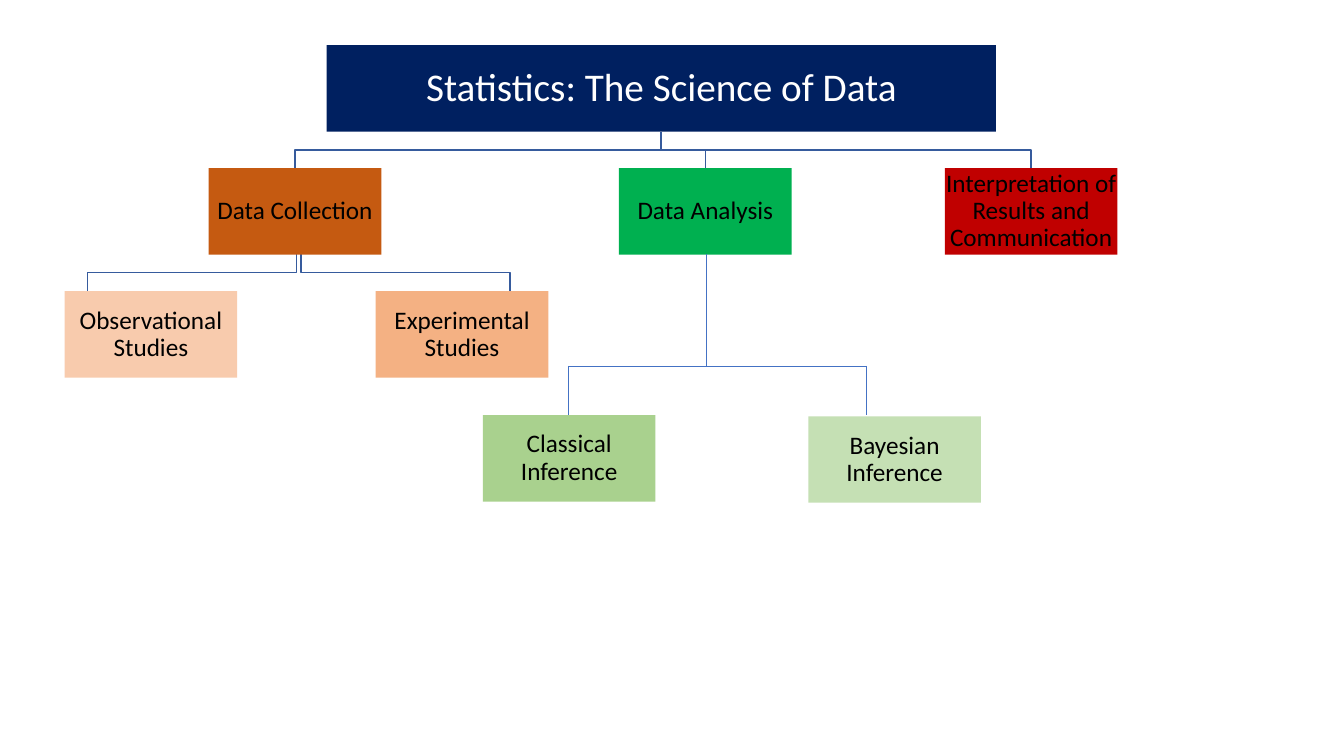
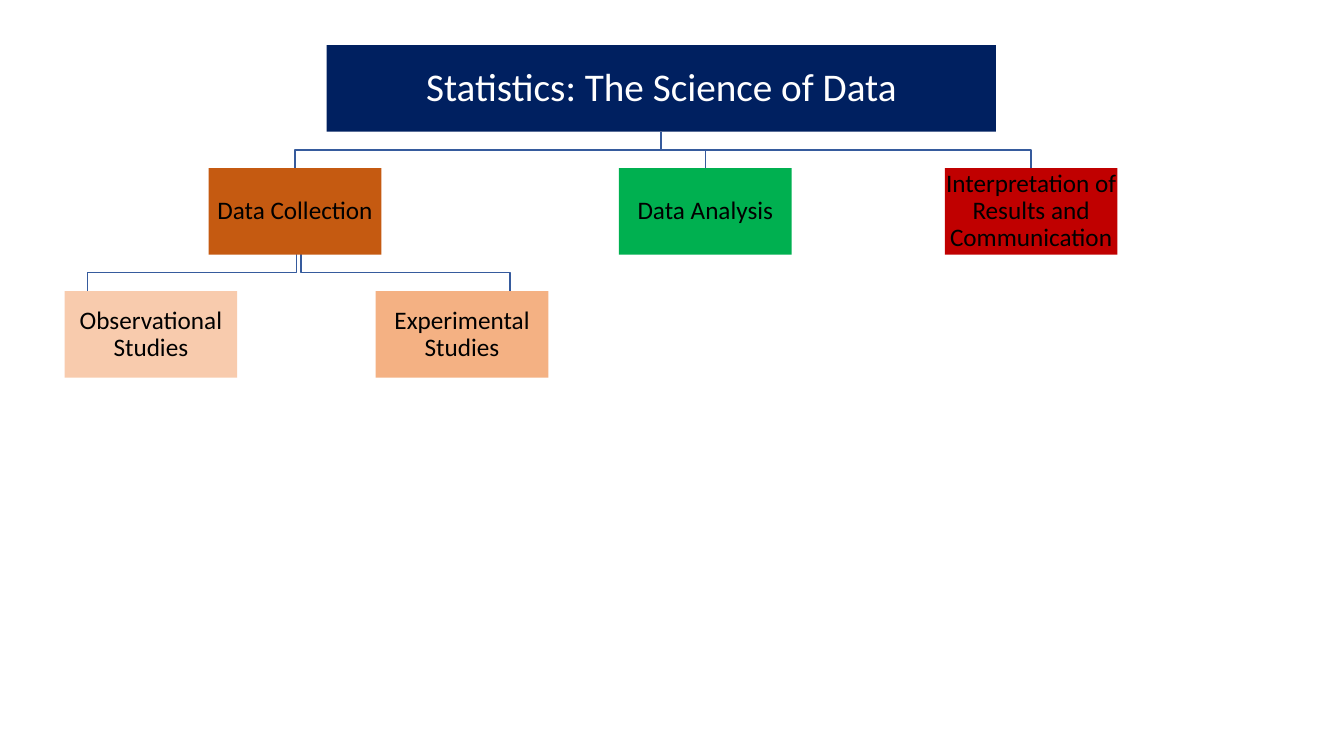
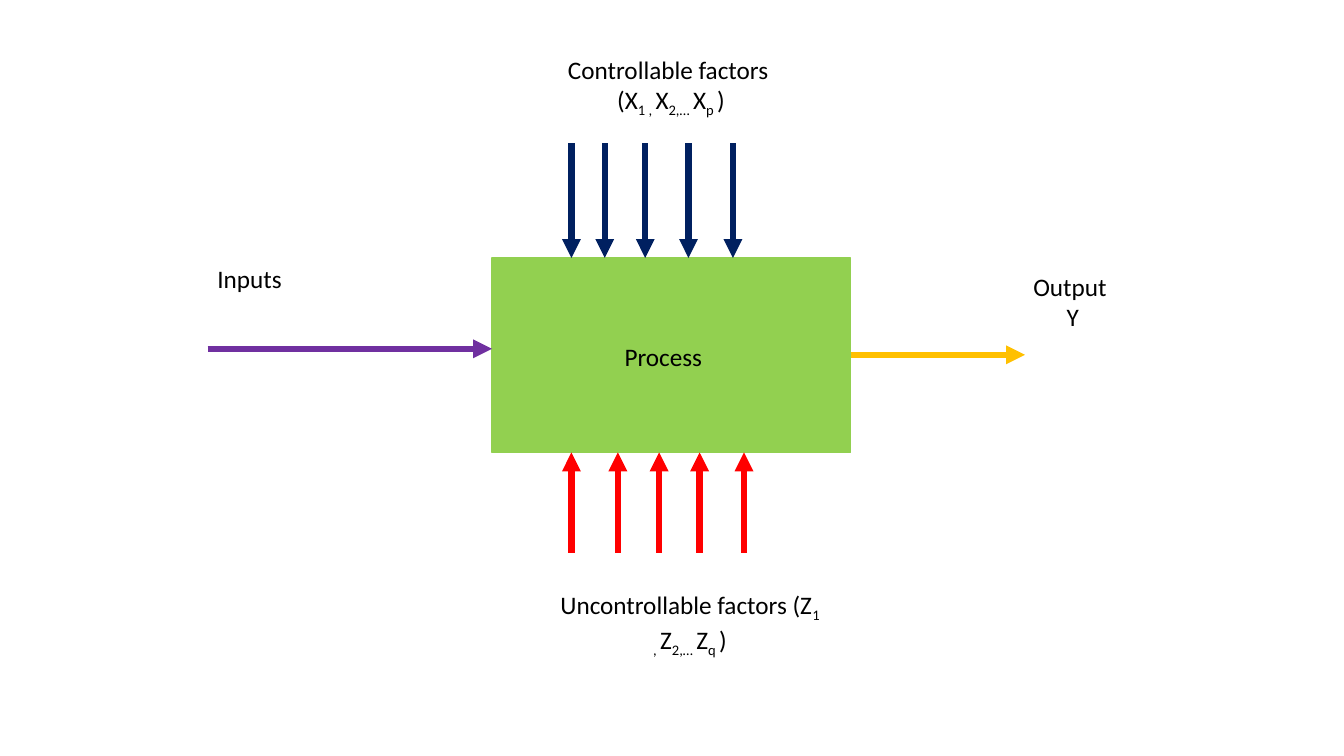
import pptx
import pptx.util
import pptx.dml.color
import pptx.enum.shapes
import pptx.enum.text
import pptx.oxml
import pptx.oxml.ns

Cm, Pt = pptx.util.Cm, pptx.util.Pt
ALIGN = pptx.enum.text.PP_ALIGN
ANCHOR = pptx.enum.text.MSO_ANCHOR

# Shared look
COLOURS = {
    "navy": "002060", "white": "FFFFFF", "black": "000000",
    "collection": "C55A11", "observational": "F8CBAD", "experimental": "F4B183",
    "analysis": "00B050", "classical": "A9D18E", "bayesian": "C5E0B4",
    "interpretation": "C00000", "elbow": "365B9D", "branch": "4472C4",
    "process": "92D050", "input": "7030A0", "output": "FFC000", "noise": "FF0000",
}
BODY_FONT = {"name": "Calibri", "size": Pt(18), "bold": False}
TITLE_FONT = {**BODY_FONT, "size": Pt(28)}
BOX_FRAME = {
    "word_wrap": True, "auto_size": pptx.enum.text.MSO_AUTO_SIZE.NONE,
    "vertical_anchor": ANCHOR.MIDDLE, "margin_left": Cm(0.03),
    "margin_right": Cm(0.03), "margin_top": Cm(0.03), "margin_bottom": Cm(0.03),
}
BOX_PARAGRAPH = {"alignment": ALIGN.CENTER, "line_spacing": 0.9}
BOX_WIDTH, BOX_HEIGHT = 4.35, 2.18

# Tree layout in centimetres
TITLE_AREA = (8.23, 1.14, 16.87, BOX_HEIGHT)
TITLE_CENTRE = 16.66
TITLE_BOTTOM = 3.32
BRANCH_TOP, BRANCH_BOTTOM = 4.24, 6.41
STUDY_TOP = 7.34
BRANCHES = [
    ("Data Collection", 5.26, "collection"),
    ("Data Analysis", 15.6, "analysis"),
    ("Interpretation of Results and Communication", 23.81, "interpretation"),
]
STUDIES = [
    ("Observational Studies", 1.63, "observational"),
    ("Experimental Studies", 9.47, "experimental"),
]
STUDY_ELBOWS = [(7.47, 2.21), (7.59, 12.85)]
INFERENCES = [
    ("Classical Inference", 12.17, 10.46, "classical"),
    ("Bayesian Inference", 20.37, 10.49, "bayesian"),
]


def colour(name):
    return pptx.dml.color.RGBColor.from_string(COLOURS[name])


def apply_format(target, values):
    for attribute, value in values.items():
        setattr(target, attribute, value)


def paint(shape, fill):
    shape.fill.solid()
    shape.fill.fore_color.rgb = colour(fill)
    shape.line.fill.background()


def add_run(paragraph, text, font, font_colour="black", subscript=False):
    run = paragraph.add_run()
    run.text = text
    apply_format(run.font, font)
    run.font.color.rgb = colour(font_colour)
    if subscript:
        run._r.get_or_add_rPr().set("baseline", "-25000")


def fill_box(shape, text, fill, font=BODY_FONT, font_colour="black"):
    paint(shape, fill)
    apply_format(shape.text_frame, BOX_FRAME)
    paragraph = shape.text_frame.paragraphs[0]
    apply_format(paragraph, BOX_PARAGRAPH)
    add_run(paragraph, text, font, font_colour)


def add_rectangle(slide, left, top, width, height):
    shape = slide.shapes.add_shape(
        pptx.enum.shapes.MSO_SHAPE.RECTANGLE, Cm(left), Cm(top), Cm(width), Cm(height))
    shape.shadow.inherit = False
    return shape


def add_box(slide, text, left, top, fill):
    fill_box(add_rectangle(slide, left, top, BOX_WIDTH, BOX_HEIGHT), text, fill)


def add_title(slide, text):
    title = slide.shapes.title
    sides = ("left", "top", "width", "height")
    apply_format(title, dict(zip(sides, map(Cm, TITLE_AREA))))
    fill_box(title, text, "navy", TITLE_FONT, "white")


def add_elbow(slide, start_x, start_y, end_x, end_y):
    middle = Cm((start_y + end_y) / 2)
    builder = slide.shapes.build_freeform(Cm(start_x), Cm(start_y))
    builder.add_line_segments(
        [(Cm(start_x), middle), (Cm(end_x), middle), (Cm(end_x), Cm(end_y))], close=False)
    shape = builder.convert_to_shape()
    shape.shadow.inherit = False
    shape.fill.background()
    shape.line.color.rgb = colour("elbow")
    shape.line.width = Pt(1)


def add_line(slide, start, end, line_colour, width, arrow=False):
    connector = slide.shapes.add_connector(
        pptx.enum.shapes.MSO_CONNECTOR.STRAIGHT, *map(Cm, start + end))
    connector.line.color.rgb = colour(line_colour)
    connector.line.width = Pt(width)
    if arrow:
        head = pptx.oxml.parse_xml(
            f'<a:tailEnd {pptx.oxml.ns.nsdecls("a")} type="triangle"/>')
        connector.line._get_or_add_ln().append(head)
    effects = pptx.oxml.parse_xml(f'<a:effectLst {pptx.oxml.ns.nsdecls("a")}/>')
    connector._element.spPr.append(effects)


def add_label(slide, area, lines, alignment=ALIGN.CENTER):
    """Each line is a list of parts, alternating normal and subscript text."""
    frame = slide.shapes.add_textbox(*map(Cm, area)).text_frame
    frame.word_wrap = True
    for index, parts in enumerate(lines):
        paragraph = frame.add_paragraph() if index else frame.paragraphs[0]
        paragraph.alignment = alignment
        for position, text in enumerate(parts):
            add_run(paragraph, text, BODY_FONT, subscript=position % 2 == 1)


def add_tree_slide(presentation):
    slide = presentation.slides.add_slide(presentation.slide_layouts[5])
    # Links between levels
    for _, left, _ in reversed(BRANCHES):
        add_elbow(slide, TITLE_CENTRE, TITLE_BOTTOM, left + BOX_WIDTH / 2, BRANCH_TOP)
    for start_x, end_x in STUDY_ELBOWS:
        add_elbow(slide, start_x, BRANCH_BOTTOM, end_x, STUDY_TOP)
    # Boxes
    add_title(slide, "Statistics: The Science of Data")
    for text, left, fill in BRANCHES:
        add_box(slide, text, left, BRANCH_TOP, fill)
    for text, left, fill in STUDIES:
        add_box(slide, text, left, STUDY_TOP, fill)
    return slide


def add_inference_branch(slide):
    stem, left, right = 17.81, 14.33, 21.84
    fork, bottom = 9.22, 10.46
    for text, box_left, top, fill in INFERENCES:
        add_box(slide, text, box_left, top, fill)
    for start, end in [
        ((stem, BRANCH_BOTTOM), (stem, fork)),
        ((left, fork), (right, fork)),
        ((left, fork), (left, bottom)),
        ((right, fork), (right, bottom)),
    ]:
        add_line(slide, start, end, "branch", 0.5)


def add_process_slide(presentation):
    slide = presentation.slides.add_slide(presentation.slide_layouts[6])
    left, top, width, height = 12.4, 6.5, 9.04, 4.9
    process = add_rectangle(slide, left, top, width, height)
    paint(process, "process")
    process.line.color.rgb = colour("process")
    process.line.width = Pt(1)

    # Arrows into and out of the process
    arrows = [((5.23, 8.79), (left, 8.79), "input")]
    arrows += [((x, 3.61), (x, top), "navy") for x in (14.4, 15.24, 16.26, 17.35, 18.47)]
    arrows += [((x, 13.93), (x, top + height), "noise")
               for x in (14.4, 15.57, 16.61, 17.63, 18.75)]
    arrows.append(((left + width, 8.94), (25.83, 8.94), "output"))
    for start, end, line_colour in arrows:
        add_line(slide, start, end, line_colour, 4.5, arrow=True)

    # Labels
    add_label(slide, (5.23, 6.5, 4.09, 1.03), [["Inputs"]], ALIGN.LEFT)
    add_label(slide, (13.87, 14.73, 7.04, 1.8),
              [["Uncontrollable factors (Z", "1 , ", "Z", "2,… ", "Z", "q ", ")"]])
    add_label(slide, (24.92, 6.71, 4.09, 1.8), [["Output"], [" Y"]])
    add_label(slide, (13.39, 1.24, 7.04, 1.8),
              [["Controllable factors "], ["(X", "1 , ", "X", "2,… ", "X", "p ", ")"]])
    add_label(slide, (15.49, 8.48, 2.79, 1.03), [["Process"]], ALIGN.LEFT)


def main():
    presentation = pptx.Presentation()
    presentation.slide_width, presentation.slide_height = Cm(33.87), Cm(19.05)
    add_inference_branch(add_tree_slide(presentation))
    add_tree_slide(presentation)
    add_process_slide(presentation)
    presentation.save("out.pptx")


main()
